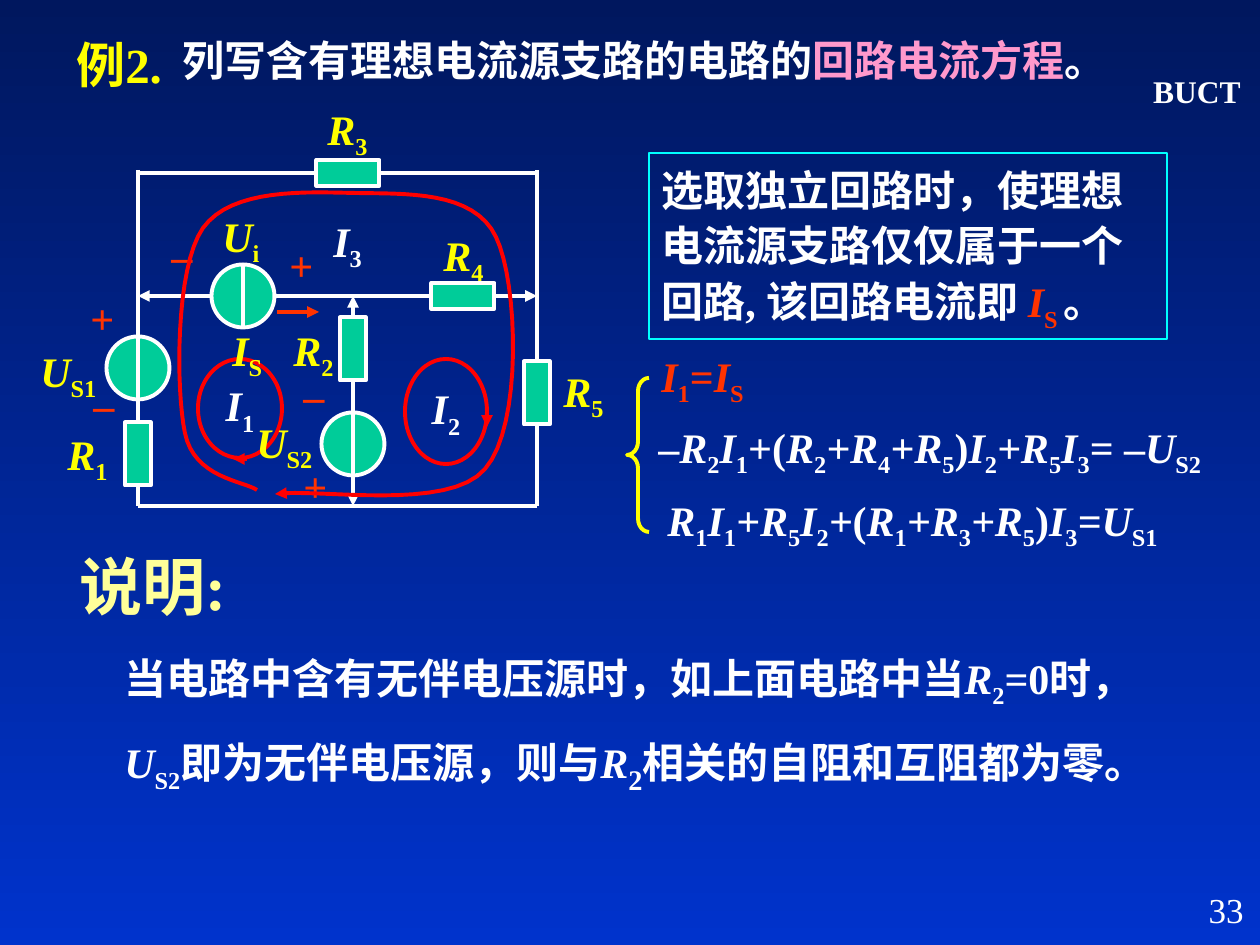
from typing import NamedTuple

from lxml.etree import SubElement
from pptx import Presentation
from pptx.dml.color import RGBColor
from pptx.enum.shapes import MSO_CONNECTOR as Conn, MSO_SHAPE as Kind
from pptx.enum.text import MSO_ANCHOR as Anchor, MSO_AUTO_SIZE as Auto, PP_ALIGN as Align
from pptx.oxml.ns import qn
from pptx.util import Emu, Pt

SCALE = 914400 / 126  # EMU in one px
LATIN, HAN = "Times New Roman", "Noto Sans CJK SC"
COLORS = {
    "night": "00175E", "blue": "0033CC", "white": "FFFFFF", "cyan": "00FFFF",
    "yellow": "FFFF00", "cream": "FFFF99", "pink": "FF99CC", "green": "00CC99",
    "red": "FF0000", "orange": "FF3300",
}


class Seg(NamedTuple):
    """Runs split by |, where * marks italic and ~ marks subscript."""
    marks: str
    color: str = "white"
    size: int = 24


class Text(NamedTuple):
    x: int
    y: int
    w: int
    h: int
    segs: list[Seg]
    wrap: bool = False
    lines: float = 1.0


class Wire(NamedTuple):
    x1: int
    y1: int
    x2: int
    y2: int
    ends: tuple[str, ...] = ()
    color: str = "white"


class Part(NamedTuple):
    kind: Kind
    x: int  # centre
    y: int
    w: int
    h: int


class Loop(NamedTuple):
    x: int
    y: int
    w: int
    h: int
    marks: str


def px(n: float) -> Emu:
    return Emu(round(n * SCALE))


def rgb(name: str) -> RGBColor:
    return RGBColor.from_string(COLORS[name])


def write(frame, segs: list[Seg], bold: bool = True, lines: float = 1.0,
          align=Align.LEFT) -> None:
    par = frame.paragraphs[0]
    par.alignment, par.line_spacing = align, lines
    par._p.get_or_add_pPr().set("hangingPunct", "0")
    for seg in segs:
        for mark in seg.marks.split("|"):
            run = par.add_run()
            run.text = mark.lstrip("*~")
            font = run.font
            font.size, font.bold, font.name = Pt(seg.size), bold, LATIN
            font.italic = mark.startswith("*")
            font.color.rgb = rgb(seg.color)
            props = run._r.get_or_add_rPr()
            SubElement(props, qn("a:ea")).set("typeface", HAN)
            if mark.startswith("~"):
                props.set("baseline", "-25000")


def add_text(t: Text, **style):
    frame = shapes.add_textbox(*map(px, t[:4])).text_frame
    frame.word_wrap = t.wrap
    write(frame, t.segs, lines=t.lines, **style)
    return frame


def paint(shape, fill: str = "", line: str = "", width: float = 2.25) -> None:
    shape.shadow.inherit = False
    if fill:
        shape.fill.solid()
        shape.fill.fore_color.rgb = rgb(fill)
    else:
        shape.fill.background()
    shape.line.color.rgb, shape.line.width = rgb(line), Pt(width)


def add_shape(kind: Kind, box: tuple, **look):
    shape = shapes.add_shape(kind, *map(px, box))
    paint(shape, **look)
    return shape


def add_ends(shape, ends: tuple[str, ...]) -> None:
    for end in ends:
        SubElement(shape.line._get_or_add_ln(), qn(f"a:{end}End")).set("type", "triangle")


def add_wire(w: Wire) -> None:
    line = shapes.add_connector(Conn.STRAIGHT, *map(px, w[:4]))
    line.line.color.rgb, line.line.width = rgb(w.color), Pt(2.25)
    add_ends(line, w.ends)
    SubElement(line._element.spPr, qn("a:effectLst"))


def add_part(p: Part) -> None:
    add_shape(p.kind, (p.x - p.w / 2, p.y - p.h / 2, p.w, p.h), fill="green", line="white")


def add_loop(loop: Loop) -> None:
    frame = add_shape(Kind.OVAL, loop[:4], line="red").text_frame
    frame.word_wrap, frame.vertical_anchor = False, Anchor.MIDDLE
    write(frame, [Seg(loop.marks)], align=Align.CENTER)


def add_curve(knots: list[tuple], steps: int = 16) -> None:
    """Draw joined cubic Bezier arcs as one open outline."""
    pts = []
    for i in range(0, len(knots) - 1, 3):
        for k in range(1, steps + 1):
            t = k / steps
            blend = ((1 - t) ** 3, 3 * t * (1 - t) ** 2, 3 * t * t * (1 - t), t ** 3)
            pts.append(tuple(px(sum(b * knot[axis] for b, knot in zip(blend, knots[i:i + 4])))
                             for axis in (0, 1)))
    pen = shapes.build_freeform(*map(px, knots[0]))
    pen.add_line_segments(pts, close=False)
    curve = pen.convert_to_shape()
    paint(curve, line="red")
    add_ends(curve, ("tail",))


# Slide and background
deck = Presentation()
deck.slide_width, deck.slide_height = px(1260), px(945)
slide = deck.slides.add_slide(deck.slide_layouts[5])
shapes = slide.shapes
back = slide.background.fill
back.gradient()
back.gradient_angle = 270
for stop, name in zip(back.gradient_stops, ("night", "blue")):
    stop.color.rgb = rgb(name)

# Title
title = shapes.title
title.left, title.top, title.width, title.height = map(px, (170, 28, 963, 63))
head = title.text_frame
head.word_wrap, head.auto_size, head.vertical_anchor = True, Auto.NONE, Anchor.TOP
write(head, [Seg("列写含有理想电流源支路的电路的"), Seg("回路电流方程", "pink"), Seg("。")])
add_text(Text(64, 28, 126, 72, [Seg("例2.", "yellow", 28)], True))

# School name
school = add_text(Text(1143, 72, 108, 38, [Seg("BUCT", size=18)], True), align=Align.CENTER)
school.margin_left = school.margin_right = school.margin_top = school.margin_bottom = 0
school.vertical_anchor = Anchor.MIDDLE

# Note on choosing loops
note = add_shape(Kind.RECTANGLE, (649, 153, 518, 186), line="cyan", width=0.75).text_frame
note.word_wrap, note.vertical_anchor = True, Anchor.TOP
write(note, [Seg("选取独立回路时，使理想电流源支路仅仅属于一个回路, 该回路电流即 "),
             Seg("*I|~S ", "orange"), Seg("。")], lines=1.1)

# Equations
for eq in (
    Text(649, 344, 140, 71, [Seg("*I|~1|=|*I|~S", "orange")]),
    Text(646, 415, 600, 71, [Seg("–|*R|~2|*I|~1|+(|*R|~2|*+R|~4|*+R|~5|)|*I|~2|*+R|~5|*I|~3"
                                 "|= –|*U|~S2")]),
    Text(655, 488, 580, 71, [Seg("*R|~1|*I|~1|*+R|~5|*I|~2|*+|(|*R|~1|*+R|~3|*+R|~5|)|*I|~3"
                                 "|*=U|~S1")]),
):
    add_text(eq)
brace = add_shape(Kind.LEFT_BRACE, (627, 378, 22, 154), line="yellow")
brace.adjustments[0] = 0.6

# Mesh currents
for loop in (Loop(198, 359, 84, 99, "*I|~1"), Loop(405, 359, 82, 105, "*I|~2")):
    add_loop(loop)

# Circuit: sources, wires, resistors
for x, y in ((353, 444), (138, 368), (243, 296)):
    add_part(Part(Kind.OVAL, x, y, 63, 63))
for wire in (
    Wire(247, 459, 233, 459, ("tail",), "red"),
    Wire(487, 411, 487, 427, ("tail",), "red"),
    Wire(243, 264, 243, 327),
    Wire(211, 296, 138, 296, ("tail",)),
    Wire(277, 312, 319, 312, ("tail",), "orange"),
    Wire(138, 170, 138, 506),
    Wire(275, 296, 537, 296, ("tail",)),
    Wire(353, 296, 353, 506, ("head", "tail")),
    Wire(138, 506, 537, 506),
    Wire(537, 506, 537, 170),
    Wire(138, 173, 537, 173),
):
    add_wire(wire)
for x, y in ((138, 454), (353, 349), (537, 393)):
    add_part(Part(Kind.RECTANGLE, x, y, 26, 63))
for x, y in ((348, 173), (463, 296)):
    add_part(Part(Kind.RECTANGLE, x, y, 63, 26))

# Circuit labels
for x, y, marks, color in (
    (28, 339, "*U|~S1", "yellow"), (244, 410, "*U|~S2", "yellow"),
    (55, 422, "*R|~1", "yellow"), (281, 318, "*R|~2", "yellow"),
    (315, 97, "*R|~3", "yellow"), (431, 223, "*R|~4", "yellow"),
    (551, 359, "*R|~5", "yellow"), (220, 318, "*I|~S", "yellow"),
    (210, 204, "*U|~i", "yellow"), (321, 209, "*I|~3", "white"),
    (78, 286, "+", "orange"), (277, 233, "+", "orange"),
    (291, 454, "+", "orange"), (81, 358, "_", "orange"),
    (159, 209, "_", "orange"), (291, 349, "_", "orange"),
):
    w, h = (100, 71) if "~" in marks else (60, 63)
    add_text(Text(x, y, w, h, [Seg(marks, color)]))

# Outer loop current
add_curve([
    (257, 490), (244, 481), (194, 478), (185, 433), (176, 391), (175, 268), (203, 228),
    (232, 188), (306, 192), (355, 193), (404, 194), (474, 190), (496, 237),
    (518, 282), (523, 426), (485, 469), (449, 512), (318, 488), (275, 494),
])

# Explanation and page number
add_text(Text(67, 541, 349, 88, [Seg("说明:", "cream", 36)], True))
add_text(Text(112, 629, 1068, 174, [
    Seg("当电路中含有无伴电压源时，如上面电路中当|*R|~2|=0时，|*U|~S2|即为无伴电压源，则与|*R"),
    Seg("~2", size=28), Seg("相关的自阻和互阻都为零。")], True, 1.3))
add_text(Text(994, 882, 262, 63, [Seg("33", size=20)], True), bold=False, align=Align.RIGHT)

deck.save("out.pptx")
